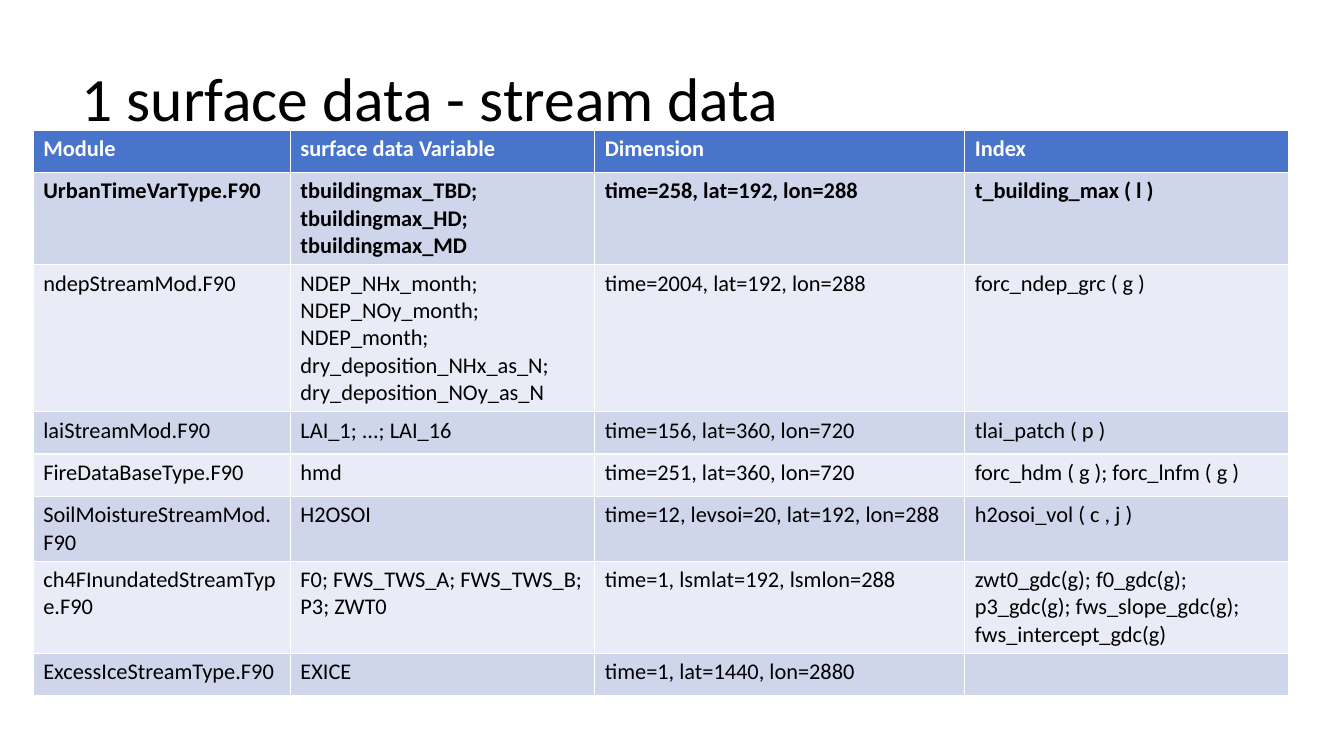
from pptx import Presentation
from pptx.dml.color import RGBColor
from pptx.enum.text import MSO_ANCHOR, PP_ALIGN
from pptx.util import Inches, Pt

COLORS = {
    "text": "000000",
    "header_text": "FFFFFF",
    "header": "4874CB",
    "band_dark": "CFD6EC",
    "band_light": "E9EBF6",
}
COLUMN_WIDTHS = [2.55, 3.02, 3.67, 3.21]
ROW_HEIGHT = 0.42
STREAMS = [
    ["Module", "surface data Variable", "Dimension", "Index"],
    ["UrbanTimeVarType.F90",
     "tbuildingmax_TBD;\ntbuildingmax_HD;\ntbuildingmax_MD",
     "time=258, lat=192, lon=288", "t_building_max ( l )"],
    ["ndepStreamMod.F90",
     "NDEP_NHx_month;\nNDEP_NOy_month;\nNDEP_month;\n"
     "dry_deposition_NHx_as_N;\ndry_deposition_NOy_as_N",
     "time=2004, lat=192, lon=288", "forc_ndep_grc ( g )"],
    ["laiStreamMod.F90", "LAI_1; ...; LAI_16",
     "time=156, lat=360, lon=720", "tlai_patch ( p )"],
    ["FireDataBaseType.F90", "hmd",
     "time=251, lat=360, lon=720", "forc_hdm ( g ); forc_lnfm ( g )"],
    ["SoilMoistureStreamMod.F90", "H2OSOI",
     "time=12, levsoi=20, lat=192, lon=288", "h2osoi_vol ( c , j )"],
    ["ch4FInundatedStreamType.F90", "F0; FWS_TWS_A; FWS_TWS_B; P3; ZWT0",
     "time=1, lsmlat=192, lsmlon=288",
     "zwt0_gdc(g); f0_gdc(g); p3_gdc(g); fws_slope_gdc(g); fws_intercept_gdc(g)"],
    ["ExcessIceStreamType.F90", "EXICE", "time=1, lat=1440, lon=2880", ""],
]
BOLD_ROWS = 2


class SlideBuilder:
    font = "Calibri"

    def __init__(self, slide):
        self.slide = slide

    def style(self, p, size, color, bold=False):
        p.font.name = self.font
        p.font.size = Pt(size)
        p.font.bold = bold
        p.font.color.rgb = RGBColor.from_string(COLORS[color])

    def title(self, text, left, top, width, height):
        sp = self.slide.shapes.title
        sp.left, sp.top = Inches(left), Inches(top)
        sp.width, sp.height = Inches(width), Inches(height)
        tf = sp.text_frame
        tf.text = text
        tf.word_wrap = True
        tf.vertical_anchor = MSO_ANCHOR.MIDDLE
        p = tf.paragraphs[0]
        p.alignment = PP_ALIGN.LEFT
        p.line_spacing = 0.9
        self.style(p, 44, "text")

    def table(self, rows, left, top, widths, row_height):
        table = self.slide.shapes.add_table(
            len(rows), len(widths), Inches(left), Inches(top),
            Inches(sum(widths)), Inches(row_height * len(rows))).table
        for column, width in zip(table.columns, widths):
            column.width = Inches(width)
        for i, row in enumerate(rows):
            table.rows[i].height = Inches(row_height)
            for j, text in enumerate(row):
                self.cell(table.cell(i, j), text, i)

    def cell(self, cell, text, row):
        """Fill one cell, with its colours and weight set by its row."""
        if row == 0:
            fill, color = "header", "header_text"
        else:
            fill, color = ("band_dark" if row % 2 else "band_light"), "text"
        cell.fill.solid()
        cell.fill.fore_color.rgb = RGBColor.from_string(COLORS[fill])
        cell.text = text
        for p in cell.text_frame.paragraphs:
            self.style(p, 16, color, bold=row < BOLD_ROWS)


def main():
    prs = Presentation()
    prs.slide_width, prs.slide_height = Inches(13.33), Inches(7.5)
    s = SlideBuilder(prs.slides.add_slide(prs.slide_layouts[5]))
    s.title("1 surface data - stream data", 0.71, 0.28, 11.5, 1.45)
    s.table(STREAMS, 0.33, 1.29, COLUMN_WIDTHS, ROW_HEIGHT)
    prs.save("out.pptx")


if __name__ == "__main__":
    main()
